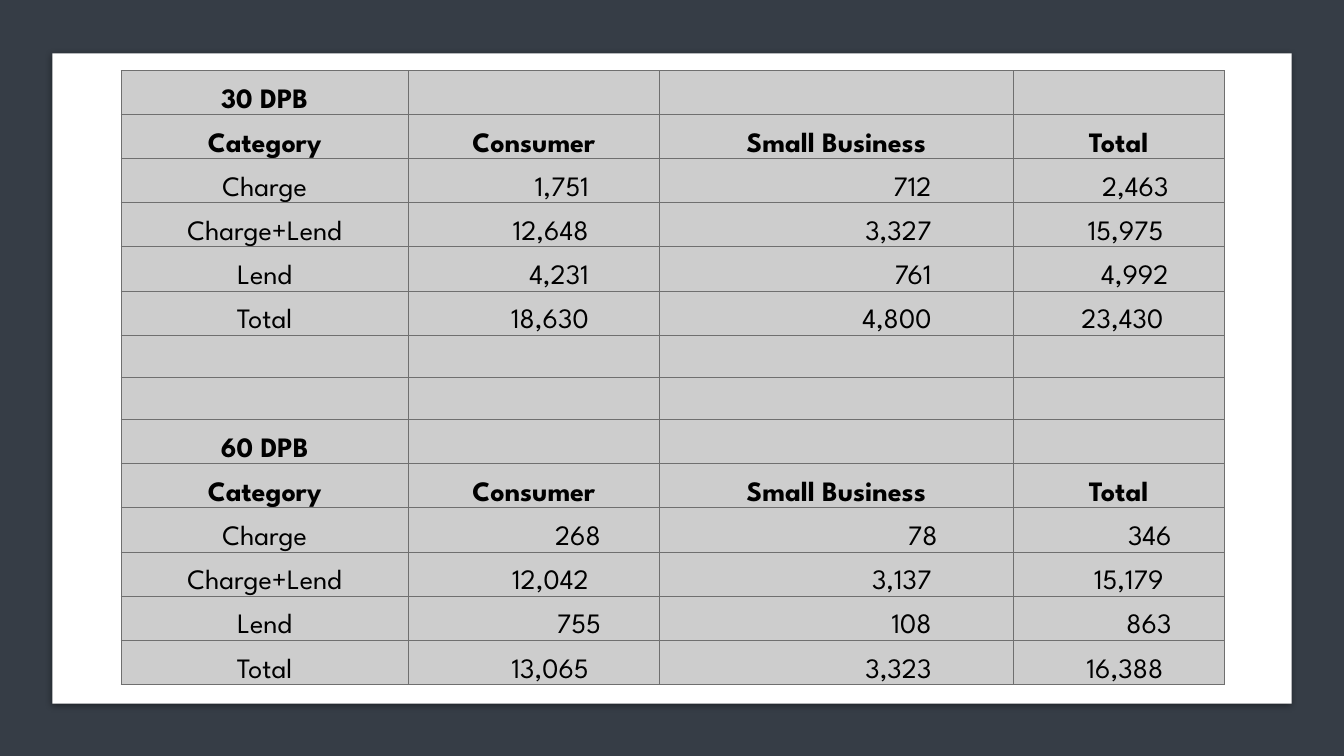
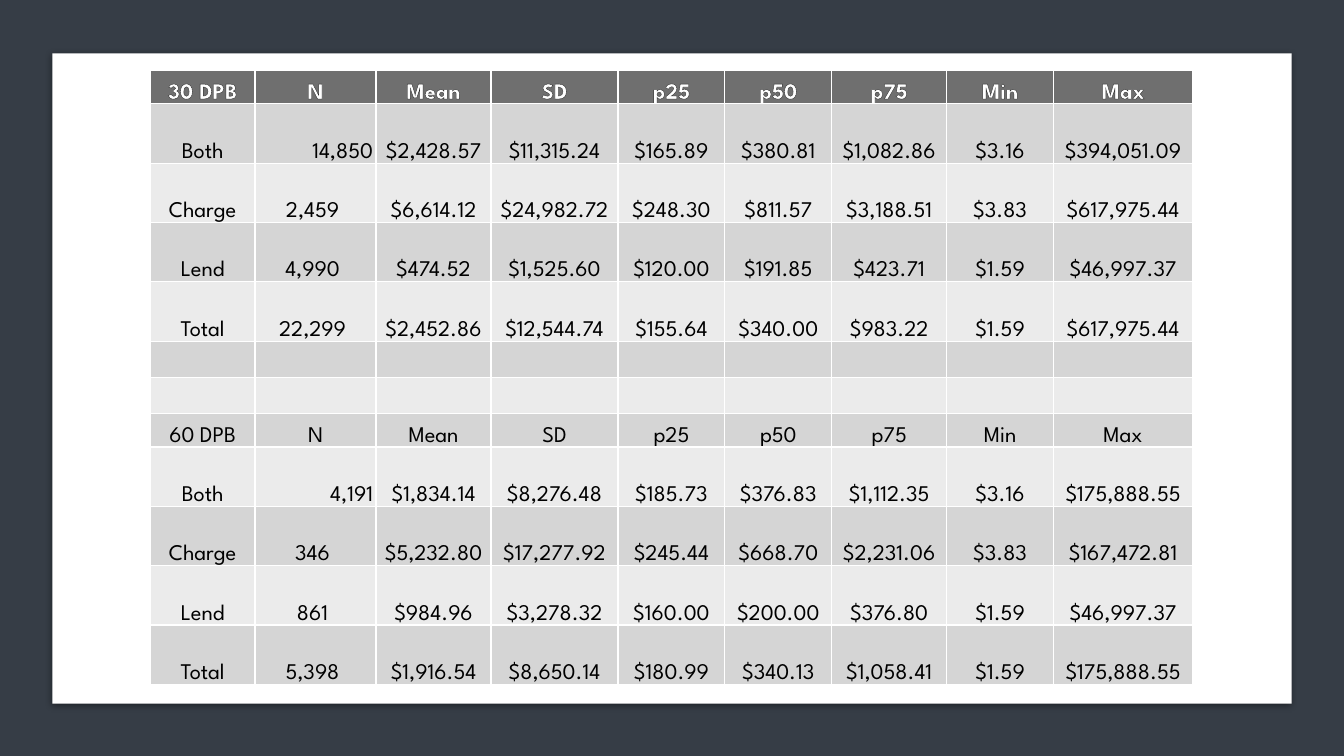
"""Build two slides of 30 and 60 DPB figures: account counts and balance statistics."""
from lxml import etree
from pptx import Presentation
from pptx.dml.color import RGBColor
from pptx.enum import shapes, text
from pptx.oxml import parse_xml
from pptx.oxml.ns import nsdecls
from pptx.util import Inches, Pt

COLORS = {
    "backdrop": "363D46", "card": "FFFFFF", "ink": "000000", "outline": "262626",
    "grid": "6F6F6F", "plain": "CDCDCD", "header": "6F6F6F",
    "dark_band": "D5D5D5", "light_band": "EBEBEB",
}
FONT = "League Spartan"
TABLE_TOP, TABLE_HEIGHT = 0.7, 6.09

COUNTS = """30 DPB
Category|Consumer|Small Business|Total
Charge|1,751|712|2,463
Charge+Lend|12,648|3,327|15,975
Lend|4,231|761|4,992
Total|18,630|4,800|23,430


60 DPB
Category|Consumer|Small Business|Total
Charge|268|78|346
Charge+Lend|12,042|3,137|15,179
Lend|755|108|863
Total|13,065|3,323|16,388"""

BALANCES = """30 DPB|N|Mean|SD|p25|p50|p75|Min|Max
Both|14,850|$2,428.57|$11,315.24|$165.89|$380.81|$1,082.86|$3.16|$394,051.09
Charge|2,459|$6,614.12|$24,982.72|$248.30|$811.57|$3,188.51|$3.83|$617,975.44
Lend|4,990|$474.52|$1,525.60|$120.00|$191.85|$423.71|$1.59|$46,997.37
Total|22,299|$2,452.86|$12,544.74|$155.64|$340.00|$983.22|$1.59|$617,975.44


60 DPB|N|Mean|SD|p25|p50|p75|Min|Max
Both|4,191|$1,834.14|$8,276.48|$185.73|$376.83|$1,112.35|$3.16|$175,888.55
Charge|346|$5,232.80|$17,277.92|$245.44|$668.70|$2,231.06|$3.83|$167,472.81
Lend|861|$984.96|$3,278.32|$160.00|$200.00|$376.80|$1.59|$46,997.37
Total|5,398|$1,916.54|$8,650.14|$180.99|$340.13|$1,058.41|$1.59|$175,888.55"""

COUNT_INSETS = {
    1: {3: 0.58, 5: 0.7, 6: 0.7},
    2: {2: 0.75, 3: 0.81, 5: 0.81},
    3: {3: 0.52, 5: 0.55, 6: 0.6},
}

REPORTS = [
    {"figures": COUNTS, "left": 1.2, "columns": [2.85, 2.49, 3.51, 2.09],
     "fixed_rows": {6: 0.42, 7: 0.42}, "size": 20, "inset": 0.02,
     "border": ("grid", 0.75), "heading_rows": [0, 1, 8, 9],
     "heading_ink": "ink", "fills": ("plain", "plain", "plain")},
    {"figures": BALANCES, "left": 1.49,
     "columns": [1.04, 1.2, 1.14, 1.26, 1.06, 1.06, 1.14, 1.06, 1.38],
     "fixed_rows": {0: 0.33, 5: 0.36, 6: 0.36, 7: 0.33}, "size": 16, "inset": 0.01,
     "border": ("card", 1), "heading_rows": [0],
     "heading_ink": "card", "fills": ("header", "dark_band", "light_band")},
]


def rgb(role):
    return RGBColor.from_string(COLORS[role])


def line_xml(tag, role, points):
    return parse_xml(
        f'<a:{tag} {nsdecls("a")} w="{Pt(points)}"><a:solidFill>'
        f'<a:srgbClr val="{COLORS[role]}"/></a:solidFill></a:{tag}>')


prs = Presentation()
prs.slide_width, prs.slide_height = Inches(13.33), Inches(7.5)
backdrop = prs.slide_master.background.fill
backdrop.solid()
backdrop.fore_color.rgb = rgb("backdrop")

for report in REPORTS:
    slide = prs.slides.add_slide(prs.slide_layouts[6])

    card = slide.shapes.add_shape(
        shapes.MSO_SHAPE.RECTANGLE, Inches(0.52), Inches(0.53), Inches(12.29), Inches(6.45))
    card.fill.solid()
    card.fill.fore_color.rgb = rgb("card")
    card.line.fill.background()
    card.shadow.inherit = False
    effects = card._element.spPr.find("{*}effectLst")
    effects.append(parse_xml(
        f'<a:outerShdw {nsdecls("a")} blurRad="{Pt(5)}" dist="{Pt(1.4)}" dir="5400000">'
        f'<a:srgbClr val="{COLORS["ink"]}"><a:alpha val="43000"/></a:srgbClr></a:outerShdw>'))

    rows = [row.split("|") for row in report["figures"].split("\n")]
    columns, fixed = report["columns"], report["fixed_rows"]
    table = slide.shapes.add_table(
        len(rows), len(columns), Inches(report["left"]), Inches(TABLE_TOP),
        Inches(sum(columns)), Inches(TABLE_HEIGHT)).table
    table.horz_banding = False
    for column, width in zip(table.columns, columns):
        column.width = Inches(width)
    even_height = (TABLE_HEIGHT - sum(fixed.values())) / (len(rows) - len(fixed))

    for r, row in enumerate(rows):
        table.rows[r].height = Inches(fixed.get(r, even_height))
        heading = r in report["heading_rows"]
        header_fill, odd_fill, even_fill = report["fills"]
        fill = header_fill if r == 0 else odd_fill if r % 2 else even_fill
        inset = Inches(report["inset"])
        cell_format = {
            "margin_left": inset, "margin_right": inset, "margin_top": inset,
            "margin_bottom": 0, "vertical_anchor": text.MSO_ANCHOR.BOTTOM,
        }
        font_format = {"name": FONT, "size": Pt(report["size"]), "bold": heading}

        for c in range(len(columns)):
            cell = table.cell(r, c)
            for attribute, value in cell_format.items():
                setattr(cell, attribute, value)
            for side in ("lnL", "lnR", "lnT", "lnB"):
                cell._tc.get_or_add_tcPr().append(line_xml(side, *report["border"]))
            cell.fill.solid()
            cell.fill.fore_color.rgb = rgb(fill)

            label = row[c] if c < len(row) else ""
            if not label:
                continue
            paragraph = cell.text_frame.paragraphs[0]
            paragraph.alignment = text.PP_ALIGN.CENTER
            run = paragraph.add_run()
            run.text = label
            for attribute, value in font_format.items():
                setattr(run.font, attribute, value)
            run.font.color.rgb = rgb(report["heading_ink"] if heading else "ink")
            if heading:
                run._r.get_or_add_rPr().insert(0, line_xml("ln", "outline", 0.75))

            if report["figures"] == COUNTS and c and not heading:
                paragraph.alignment = text.PP_ALIGN.RIGHT
                cell.margin_right = Inches(COUNT_INSETS[c][len(label)])
            elif report["figures"] == BALANCES and c == 1 and label[0].isdigit():
                if row[0] == "Both":
                    paragraph.alignment = text.PP_ALIGN.RIGHT
                    cell.margin_right = Inches(0.03)
                else:
                    cell.margin_right = Inches(0.07)

prs.save("out.pptx")
